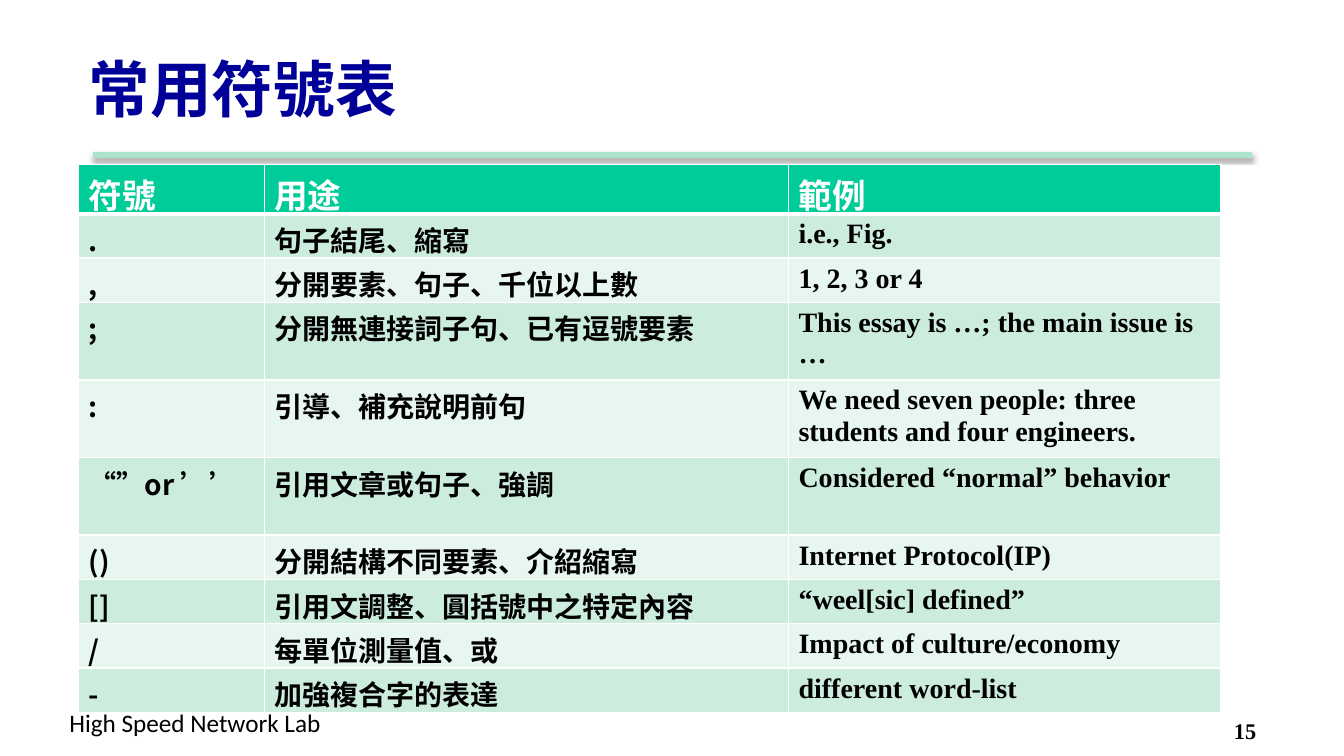
import pptx
import pptx.dml.color
import pptx.enum.shapes
import pptx.enum.text
import pptx.oxml
import pptx.oxml.ns
import pptx.util
from dataclasses import dataclass

Inches = pptx.util.Inches
Pt = pptx.util.Pt
qn = pptx.oxml.ns.qn
NAMESPACE = pptx.oxml.ns.nsdecls("a")


@dataclass(frozen=True)
class Theme:
    cjk: str = "Noto Sans CJK SC"
    serif: str = "Times New Roman"
    sans: str = "Calibri"
    ink: str = "000000"
    white: str = "FFFFFF"
    title: str = "000099"
    rule: str = "AAE2CA"
    header: str = "00CC99"
    bands: tuple = ("CCECDE", "E7F6EF")
    title_size: int = 44
    header_size: int = 24
    body_size: int = 20
    footer_size: int = 18
    number_size: int = 16


HEADINGS = ("符號", "用途", "範例")
SYMBOLS = [
    (".", "句子結尾、縮寫", "i.e., Fig."),
    (",", "分開要素、句子、千位以上數", "1, 2, 3 or 4"),
    (";", "分開無連接詞子句、已有逗號要素", "This essay is …; the main issue is …"),
    (":", "引導、補充說明前句", "We need seven people: three students and four engineers."),
    ("“”or ’’", "引用文章或句子、強調", "Considered “normal” behavior"),
    ("()", "分開結構不同要素、介紹縮寫", "Internet Protocol(IP)"),
    ("[]", "引用文調整、圓括號中之特定內容", "“weel[sic] defined”"),
    ("/", "每單位測量值、或", "Impact of culture/economy"),
    ("-", "加強複合字的表達", "different word-list"),
]
TALL_ROWS = (3, 4, 5)
COLUMN_WIDTHS = (1.84, 5.2, 4.29)


def rgb(value):
    return pptx.dml.color.RGBColor.from_string(value)


class SlideBuilder:
    def __init__(self, deck, theme):
        self.theme = theme
        self.page = deck.slides.add_slide(deck.slide_layouts[5])

    def set_text(self, frame, text, font, size, color, bold=True):
        para = frame.paragraphs[0]
        para.text = text
        para.alignment = pptx.enum.text.PP_ALIGN.LEFT
        para.font.name = font
        para.font.size = Pt(size)
        para.font.bold = bold
        para.font.color.rgb = rgb(color)
        latin = para._p.pPr.find(qn("a:defRPr")).find(qn("a:latin"))
        latin.addnext(pptx.oxml.parse_xml(f'<a:ea {NAMESPACE} typeface="{self.theme.cjk}"/>'))

    def title(self, text, left, top, width, height):
        box = self.page.shapes.title
        box.left, box.top = Inches(left), Inches(top)
        box.width, box.height = Inches(width), Inches(height)
        box.text_frame.vertical_anchor = pptx.enum.text.MSO_ANCHOR.MIDDLE
        self.set_text(box.text_frame, text, self.theme.cjk, self.theme.title_size, self.theme.title)

    def label(self, text, left, top, width, height, font, size, bold, wrap):
        box = self.page.shapes.add_textbox(Inches(left), Inches(top), Inches(width), Inches(height))
        box.text_frame.word_wrap = wrap
        self.set_text(box.text_frame, text, font, size, self.theme.ink, bold)

    def shadowed_rule(self, left, right, y):
        rule = self.page.shapes.add_connector(
            pptx.enum.shapes.MSO_CONNECTOR.STRAIGHT,
            Inches(left), Inches(y), Inches(right), Inches(y))
        rule.line.color.rgb = rgb(self.theme.rule)
        rule.line.width = Pt(4.5)
        rule._element.spPr.append(pptx.oxml.parse_xml(
            f'<a:effectLst {NAMESPACE}><a:outerShdw blurRad="40000" dist="20000" dir="5400000" '
            f'rotWithShape="0"><a:srgbClr val="{self.theme.ink}"><a:alpha val="38000"/>'
            '</a:srgbClr></a:outerShdw></a:effectLst>'))

    def borders(self, cell, top, bottom):
        """Draw white cell borders; top and bottom are widths in points."""
        widths = {"lnL": 1, "lnR": 1, "lnT": top, "lnB": bottom}
        for index, (side, width) in enumerate(widths.items()):
            cell._tc.get_or_add_tcPr().insert(index, pptx.oxml.parse_xml(
                f'<a:{side} {NAMESPACE} w="{int(Pt(width))}"><a:solidFill>'
                f'<a:srgbClr val="{self.theme.white}"/></a:solidFill></a:{side}>'))

    def symbol_table(self, left, top):
        theme = self.theme
        rows = [HEADINGS, *SYMBOLS]
        heights = [0.49] + [0.77 if row in TALL_ROWS else 0.44 for row in range(1, len(rows))]
        table = self.page.shapes.add_table(
            len(rows), len(HEADINGS), Inches(left), Inches(top),
            Inches(sum(COLUMN_WIDTHS)), Inches(sum(heights))).table
        for column, width in zip(table.columns, COLUMN_WIDTHS):
            column.width = Inches(width)
        for row, texts in enumerate(rows):
            table.rows[row].height = Inches(heights[row])
            heading = row == 0
            for column, text in enumerate(texts):
                cell = table.cell(row, column)
                cell.margin_bottom = 0
                cell.fill.solid()
                cell.fill.fore_color.rgb = rgb(theme.header if heading else theme.bands[(row - 1) % 2])
                self.borders(cell, 3 if row == 1 else 1, 3 if heading else 1)
                font = theme.serif if column == 2 and not heading else theme.cjk
                self.set_text(cell.text_frame, text, font,
                              theme.header_size if heading else theme.body_size,
                              theme.white if heading else theme.ink)


def main():
    deck = pptx.Presentation()
    deck.slide_width, deck.slide_height = Inches(13.33), Inches(7.5)
    theme = Theme()
    builder = SlideBuilder(deck, theme)
    builder.shadowed_rule(0.92, 12.42, 1.54)
    builder.label("High Speed Network Lab", 0.59, 6.97, 2.79, 0.4,
                  theme.sans, theme.footer_size, False, False)
    builder.symbol_table(0.78, 1.63)
    builder.label("15", 12.14, 7.07, 0.99, 0.3, theme.serif, theme.number_size, True, True)
    builder.title("常用符號表", 0.78, 0.25, 11.33, 1.25)
    deck.save("out.pptx")


if __name__ == "__main__":
    main()
